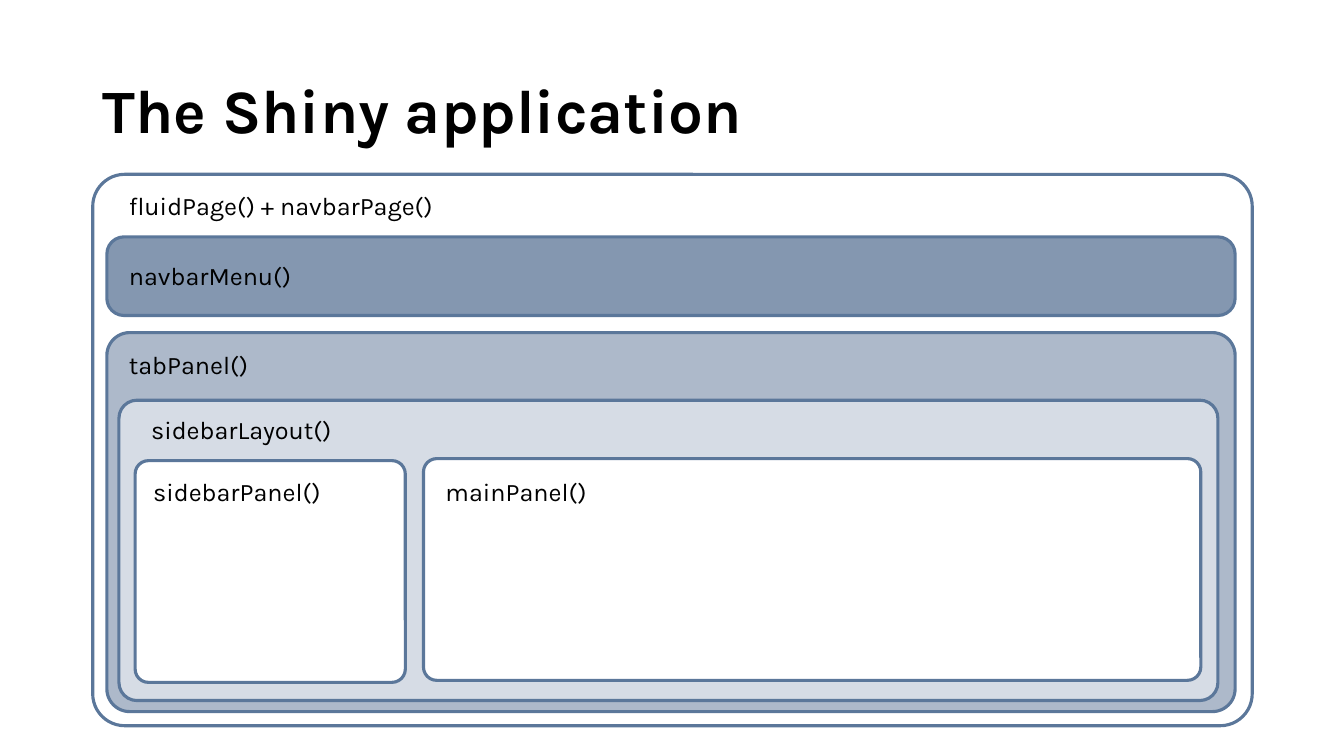
from pptx import Presentation
from pptx.dml.color import RGBColor
from pptx.enum.shapes import MSO_SHAPE as Shape
from pptx.enum.text import MSO_ANCHOR as Anchor, PP_ALIGN as Align
from pptx.util import Inches, Pt

FONT = "Karla"
EDGE = "5B779A"
BOXES = [
    (0.92, 1.73, 11.5, 5.47, 0.058, None),
    (1.06, 2.35, 11.19, 0.78, 0.218, "8497B0"),
    (1.06, 3.3, 11.19, 3.76, 0.06, "ADB9CA"),
    (1.18, 3.97, 10.9, 2.98, 0.06, "D6DCE5"),
    (1.34, 4.57, 2.68, 2.2, 0.06, "FFFFFF"),
    (4.2, 4.55, 7.71, 2.2, 0.06, "FFFFFF"),
]
LABELS = [
    ("fluidPage() + navbarPage()", 1.18, 1.84),
    ("navbarMenu()", 1.18, 2.53),
    ("tabPanel()", 1.18, 3.42),
    ("sidebarLayout()", 1.4, 4.06),
    ("sidebarPanel()", 1.42, 4.68),
    ("mainPanel()", 4.32, 4.68),
]


def color(code):
    return RGBColor.from_string(code)


def write(frame, text, size=18, bold=False, anchor=Anchor.TOP, spacing=1.0):
    frame.word_wrap = True
    frame.vertical_anchor = anchor
    para = frame.paragraphs[0]
    para.alignment = Align.LEFT
    para.line_spacing = spacing
    run = para.add_run()
    run.text = text
    run.font.name = FONT
    run.font.size = Pt(size)
    run.font.bold = bold
    run.font.color.rgb = color("000000")


def add_title(slide, text):
    title = slide.shapes.title
    title.left, title.top = Inches(0.92), Inches(0.4)
    title.width, title.height = Inches(11.5), Inches(1.45)
    write(title.text_frame, text, size=44, bold=True, anchor=Anchor.MIDDLE, spacing=0.9)


def add_box(slide, left, top, width, height, curve, fill):
    box = slide.shapes.add_shape(
        Shape.ROUNDED_RECTANGLE, Inches(left), Inches(top), Inches(width), Inches(height)
    )
    box.adjustments[0] = curve
    box.shadow.inherit = False
    if fill:
        box.fill.solid()
        box.fill.fore_color.rgb = color(fill)
    else:
        box.fill.background()
    box.line.color.rgb = color(EDGE)
    box.line.width = Pt(2.25)


def add_label(slide, text, left, top):
    label = slide.shapes.add_textbox(Inches(left), Inches(top), Inches(4.12), Inches(0.4))
    write(label.text_frame, text)


def main():
    deck = Presentation()
    deck.slide_width, deck.slide_height = Inches(13.33), Inches(7.5)
    slide = deck.slides.add_slide(deck.slide_layouts[5])
    add_title(slide, "The Shiny application")
    for box in BOXES:
        add_box(slide, *box)
    for label in LABELS:
        add_label(slide, *label)
    deck.save("out.pptx")


if __name__ == "__main__":
    main()
